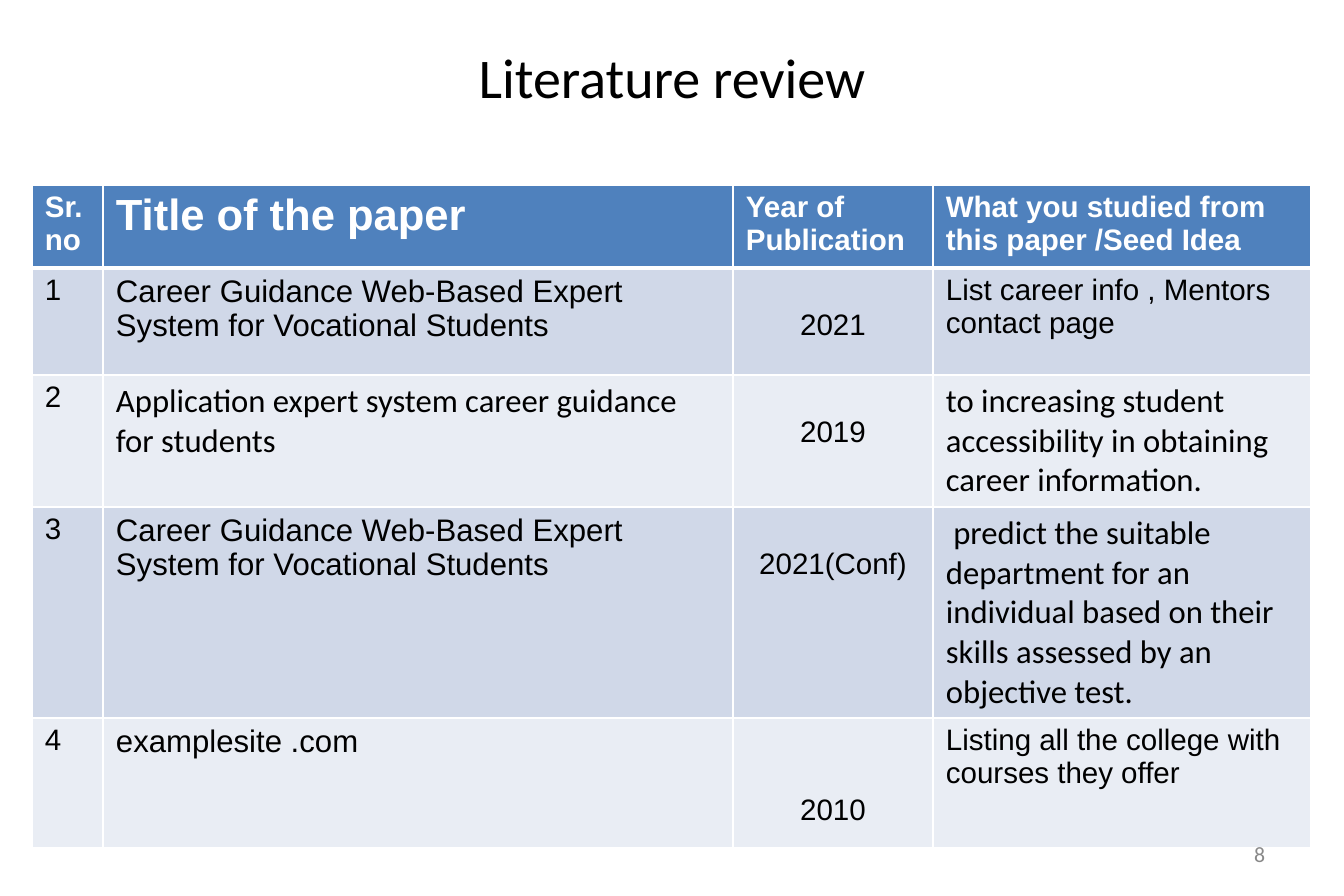
"""Build the literature review slide with its table of papers."""
import lxml.etree
import pptx
import pptx.dml.color
import pptx.enum.text
import pptx.oxml.ns
import pptx.util

PIXEL = 914400 // 112
ALIGN = pptx.enum.text.PP_ALIGN
ANCHOR = pptx.enum.text.MSO_ANCHOR
COLORS = {
    "text": "000000", "header": "4F81BD", "white": "FFFFFF",
    "odd": "D0D8E8", "even": "E9EDF4", "number": "898989",
}
COLUMN_WIDTHS = [71, 630, 200, 378]
ROW_HEIGHTS = [77, 107, 132, 211, 130]
HEADINGS = [("Sr.no", 19), ("Title of the paper", 28), ("Year of Publication", 19),
            ("What you studied from this paper /Seed Idea", 19)]
ARIAL_TITLE = (20, "Arial")
ARIAL_IDEA = (19, "Arial")
CALIBRI = (21, "Calibri")
PAPERS = [
    ("Career Guidance Web-Based Expert System for Vocational Students", ARIAL_TITLE,
     "2021", 35, "List career info , Mentors contact page", ARIAL_IDEA),
    ("Application expert system career guidance for students", CALIBRI,
     "2019", 35, "to increasing student accessibility in obtaining career information.", CALIBRI),
    ("Career Guidance Web-Based Expert System for Vocational Students", ARIAL_TITLE,
     "2021(Conf)", 35, "\u00a0predict the suitable department for an individual based on "
     "their skills assessed by an objective test.", CALIBRI),
    ("examplesite .com", ARIAL_TITLE,
     "2010", 70, "Listing all the college with courses they offer", ARIAL_IDEA),
]


def px(length):
    return pptx.util.Emu(length * PIXEL)


def rgb(name):
    return pptx.dml.color.RGBColor.from_string(COLORS[name])


def add_text(frame, text, size, font, color="text", align=ALIGN.LEFT, bold=False):
    para = frame.paragraphs[0]
    para.alignment = align
    span = para.add_run()
    span.text = text
    span.font.size = pptx.util.Pt(size)
    span.font.name = font
    span.font.bold = bold
    span.font.color.rgb = rgb(color)


def set_margins(area, side, top, bottom):
    area.margin_left = area.margin_right = px(side)
    area.margin_top, area.margin_bottom = px(top), px(bottom)


def add_box(page, bounds, anchor, text, size, color, align):
    frame = page.shapes.add_textbox(*map(px, bounds)).text_frame
    frame.word_wrap = True
    frame.vertical_anchor = anchor
    set_margins(frame, 12, 7, 7)
    add_text(frame, text, size, "Calibri", color, align)


def add_border(cell, side, points):
    line = lxml.etree.SubElement(cell._tc.get_or_add_tcPr(),
                                 pptx.oxml.ns.qn(f"a:ln{side}"),
                                 w=str(pptx.util.Pt(points)))
    fill = lxml.etree.SubElement(line, pptx.oxml.ns.qn("a:solidFill"))
    lxml.etree.SubElement(fill, pptx.oxml.ns.qn("a:srgbClr"), val=COLORS["white"])


def fill_cell(cell, row, text, size, font, align=ALIGN.LEFT, drop=0):
    is_header = row == 0
    set_margins(cell, 13, 6 + drop, 6)
    for side in "LRTB":
        thick = (is_header and side == "B") or (row == 1 and side == "T")
        add_border(cell, side, 3 if thick else 1)
    cell.fill.solid()
    cell.fill.fore_color.rgb = rgb("header" if is_header else "odd" if row % 2 else "even")
    add_text(cell.text_frame, text, size, font,
             "white" if is_header else "text", align, is_header)


def add_papers_table(page):
    frame = page.shapes.add_table(len(ROW_HEIGHTS), len(COLUMN_WIDTHS), px(32), px(185),
                                  px(sum(COLUMN_WIDTHS)), px(sum(ROW_HEIGHTS)))
    table = frame.table
    for column, width in zip(table.columns, COLUMN_WIDTHS):
        column.width = px(width)
    for row, height in zip(table.rows, ROW_HEIGHTS):
        row.height = px(height)
    for column, (heading, size) in enumerate(HEADINGS):
        fill_cell(table.cell(0, column), 0, heading, size, "Arial")
    for row, (title, title_style, year, drop, idea, idea_style) in enumerate(PAPERS, 1):
        fill_cell(table.cell(row, 0), row, str(row), 19, "Arial")
        fill_cell(table.cell(row, 1), row, title, *title_style)
        fill_cell(table.cell(row, 2), row, year, 19, "Arial", ALIGN.CENTER, drop)
        fill_cell(table.cell(row, 3), row, idea, *idea_style)


def main():
    deck = pptx.Presentation()
    deck.slide_width, deck.slide_height = px(12 * 112), px(8 * 112)
    page = deck.slides.add_slide(deck.slide_layouts[6])
    add_box(page, (67, 36, 1210, 149), ANCHOR.TOP, "Literature review", 36, "text", ALIGN.CENTER)
    add_papers_table(page)
    add_box(page, (963, 830, 314, 48), ANCHOR.MIDDLE, "8", 14, "number", ALIGN.RIGHT)
    deck.save("out.pptx")


main()
